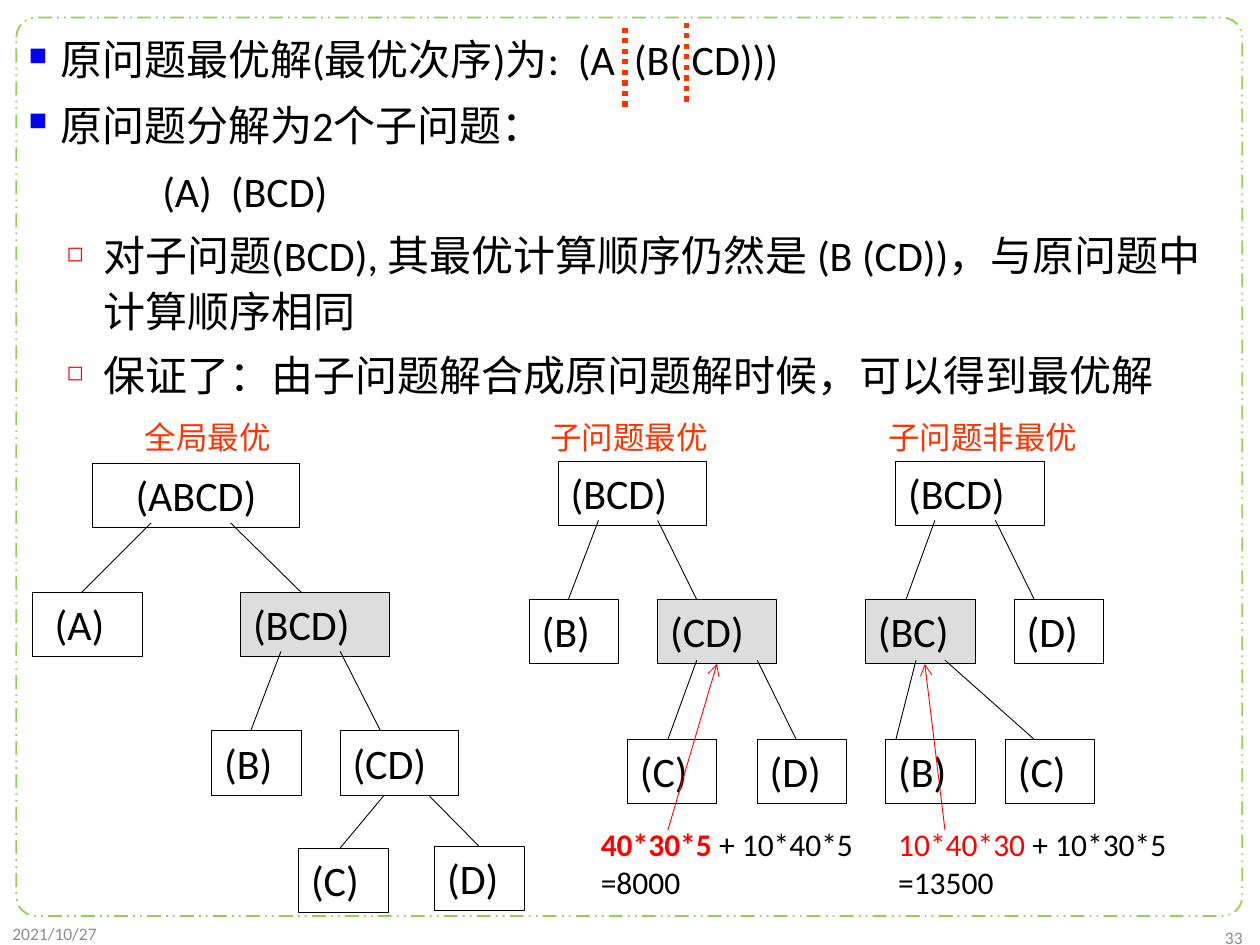
from lxml import etree
from pptx import Presentation
from pptx.dml.color import RGBColor
from pptx.enum import dml, shapes, text
from pptx.oxml import ns
from pptx.util import Inches, Pt

BLACK = RGBColor(0x00, 0x00, 0x00)
GREY = RGBColor(0x8C, 0x8C, 0x8C)
SHADE = RGBColor(0xDD, 0xDD, 0xDD)
GREEN = RGBColor(0x92, 0xD0, 0x50)
BLUE = RGBColor(0x00, 0x00, 0xFF)
RED = RGBColor(0xFF, 0x00, 0x00)
ORANGE = RGBColor(0xFF, 0x33, 0x00)

NODE_HEIGHT = 0.51
NODE_WIDTHS = {"(ABCD)": 1.65, "(BCD)": 1.18, "(CD)": 0.94, "(BC)": 0.87, " (A)": 0.87}
LEAF_WIDTH = 0.71

# Each tree: nodes (label, left, top, shaded) and edges (x1, y1, x2, y2).
GLOBAL_TREE = (
    [("(ABCD)", 0.73, 3.68, False),
     (" (A)", 0.26, 4.7, False), ("(BCD)", 1.91, 4.7, True),
     ("(B)", 1.68, 5.8, False), ("(CD)", 2.7, 5.8, False),
     ("(C)", 2.37, 6.73, False), ("(D)", 3.45, 6.72, False)],
    [(1.2, 4.15, 0.65, 4.7), (1.83, 4.15, 2.39, 4.7),
     (2.23, 5.17, 1.99, 5.8), (2.7, 5.17, 3.02, 5.8),
     (3.05, 6.31, 2.7, 6.73)],
)
BEST_TREE = (
    [("(BCD)", 4.43, 3.66, False),
     ("(B)", 4.2, 4.76, False), ("(CD)", 5.22, 4.76, True),
     ("(C)", 4.98, 5.87, False), ("(D)", 6.01, 5.87, False)],
    [(4.75, 4.13, 4.51, 4.76), (5.22, 4.13, 5.53, 4.76),
     (5.53, 5.24, 5.3, 5.87), (6.01, 5.24, 6.32, 5.87)],
)
OTHER_TREE = (
    [("(BCD)", 7.11, 3.66, False),
     ("(BC)", 6.87, 4.76, True), ("(D)", 8.05, 4.76, False),
     ("(B)", 7.03, 5.87, False), ("(C)", 7.98, 5.87, False)],
    [(7.42, 4.13, 7.19, 4.76), (7.9, 4.13, 8.21, 4.76),
     (7.27, 5.24, 7.11, 5.87), (7.5, 5.24, 8.21, 5.87)],
)


def add_span(para, words, size=24, color=BLACK, bold=False):
    span = para.add_run()
    span.text = words
    span.font.name = "Calibri"
    span.font.size = Pt(size)
    span.font.color.rgb = color
    span.font.bold = bold


def add_text_box(page, left, top, width, height, wrap=True, anchor=text.MSO_ANCHOR.TOP):
    box = page.shapes.add_textbox(Inches(left), Inches(top), Inches(width), Inches(height))
    box.text_frame.word_wrap = wrap
    box.text_frame.vertical_anchor = anchor
    return box.text_frame


def add_label(page, place, words, wrap=False, align=text.PP_ALIGN.LEFT,
              anchor=text.MSO_ANCHOR.TOP, **style):
    para = add_text_box(page, *place, wrap=wrap, anchor=anchor).paragraphs[0]
    para.alignment = align
    add_span(para, words, **style)


def set_indent(para, margin, hanging=0.0, bullet=None, color=BLUE, percent=100):
    """Set the left margin and, if given, a hanging bullet."""
    props = para._p.get_or_add_pPr()
    props.set("marL", str(Inches(margin)))
    props.set("indent", str(-Inches(hanging)))
    if bullet:
        paint = etree.SubElement(props, ns.qn("a:buClr"))
        etree.SubElement(paint, ns.qn("a:srgbClr"), val=str(color))
        etree.SubElement(props, ns.qn("a:buSzPct"), val=str(percent * 1000))
        etree.SubElement(props, ns.qn("a:buChar"), char=bullet)


def add_outline(page):
    square = dict(margin=0.25, hanging=0.25, bullet="■", color=BLUE, percent=60)
    hollow = dict(margin=0.59, hanging=0.29, bullet="◻", color=RED, percent=50)
    rows = [
        ("原问题最优解(最优次序)为:  (A  (B( CD)))", 0, square),
        ("原问题分解为2个子问题：", 0, square),
        ("(A)  (BCD)", 0, dict(margin=1.06)),
        ("对子问题(BCD), 其最优计算顺序仍然是 (B (CD))，与原问题中计算顺序相同", 1, hollow),
        ("保证了：由子问题解合成原问题解时候，可以得到最优解", 1, hollow),
    ]
    frame = add_text_box(page, 0.13, 0.18, 9.73, 7.08)
    for index, (words, level, indent) in enumerate(rows):
        para = frame.add_paragraph() if index else frame.paragraphs[0]
        para.level = level
        set_indent(para, **indent)
        para.line_spacing = 1.1
        if index:
            para.space_before = Pt(5 if level else 6)
        add_span(para, words)


def add_line(page, x1, y1, x2, y2, color=BLACK, width=0.5, dash=None, arrow=False):
    line = page.shapes.add_connector(
        shapes.MSO_CONNECTOR.STRAIGHT, Inches(x1), Inches(y1), Inches(x2), Inches(y2))
    line.line.color.rgb = color
    line.line.width = Pt(width)
    if dash:
        line.line.dash_style = dash
    if arrow:
        etree.SubElement(line.line._get_or_add_ln(), ns.qn("a:tailEnd"), type="arrow")
    etree.SubElement(line._element.spPr, ns.qn("a:effectLst"))
    return line


def add_frame(page):
    frame = page.shapes.add_shape(shapes.MSO_SHAPE.ROUNDED_RECTANGLE,
                                  Inches(0.13), Inches(0.14), Inches(9.73), Inches(7.13))
    frame.adjustments[0] = 0.022
    frame.shadow.inherit = False
    frame.fill.background()
    frame.line.color.rgb = GREEN
    frame.line.width = Pt(1)
    frame.line.dash_style = dml.MSO_LINE.DASH_DOT_DOT


def add_node(page, label, left, top, shaded):
    width = NODE_WIDTHS.get(label, LEAF_WIDTH)
    node = page.shapes.add_shape(shapes.MSO_SHAPE.RECTANGLE, Inches(left), Inches(top),
                                 Inches(width), Inches(NODE_HEIGHT))
    node.shadow.inherit = False
    if shaded:
        node.fill.solid()
        node.fill.fore_color.rgb = SHADE
    else:
        node.fill.background()
    node.line.color.rgb = BLACK
    node.line.width = Pt(0.5)
    node.text_frame.vertical_anchor = text.MSO_ANCHOR.TOP
    para = node.text_frame.paragraphs[0]
    para.alignment = text.PP_ALIGN.CENTER if label == "(ABCD)" else text.PP_ALIGN.LEFT
    add_span(para, label)
    return node


def add_tree(page, nodes, edges):
    """Draw a tree and return its node shapes in order."""
    drawn = [add_node(page, *node) for node in nodes]
    for edge in edges:
        add_line(page, *edge)
    return drawn


def add_cost(page, left, width, first, second, total, bold=False):
    frame = add_text_box(page, left, 6.5, width, 0.7, wrap=False)
    add_span(frame.paragraphs[0], first, size=18, color=RED, bold=bold)
    add_span(frame.paragraphs[0], second, size=18)
    add_span(frame.add_paragraph(), total, size=18)


def main():
    deck = Presentation()
    deck.slide_width, deck.slide_height = Inches(10), Inches(7.5)
    page = deck.slides.add_slide(deck.slide_layouts[6])

    add_frame(page)
    add_outline(page)
    footer = dict(wrap=True, anchor=text.MSO_ANCHOR.MIDDLE, size=10, color=GREY)
    add_label(page, (0, 7.26, 2.25, 0.29), "2021/10/27", **footer)
    add_label(page, (7.71, 7.31, 2.25, 0.26), "33", align=text.PP_ALIGN.RIGHT, **footer)
    for x, top in ((4.96, 0.22), (5.45, 0.18)):
        add_line(page, x, top, x, top + 0.63, color=ORANGE, width=3,
                 dash=dml.MSO_LINE.ROUND_DOT)

    for left, width, title in ((1.05, 1.2, "全局最优"), (4.27, 1.45, "子问题最优"),
                               (6.95, 1.7, "子问题非最优")):
        add_label(page, (left, 3.27, width, 0.4), title, size=18, color=ORANGE)

    global_nodes = add_tree(page, *GLOBAL_TREE)
    add_line(page, 3.41, 6.32, 3.8, 6.72).end_connect(global_nodes[-1], 0)
    best_nodes = add_tree(page, *BEST_TREE)
    add_tree(page, *OTHER_TREE)

    add_cost(page, 7.03, 2.4, "10*40*30", " + 10*30*5", "=13500")
    add_cost(page, 4.67, 2.26, "40*30*5 ", "+ 10*40*5", "=8000", bold=True)
    add_line(page, 5.3, 6.59, 5.69, 5.27, color=RED, arrow=True).end_connect(best_nodes[2], 2)
    add_line(page, 7.5, 6.59, 7.34, 5.27, color=RED, arrow=True)

    deck.save("out.pptx")


if __name__ == "__main__":
    main()
